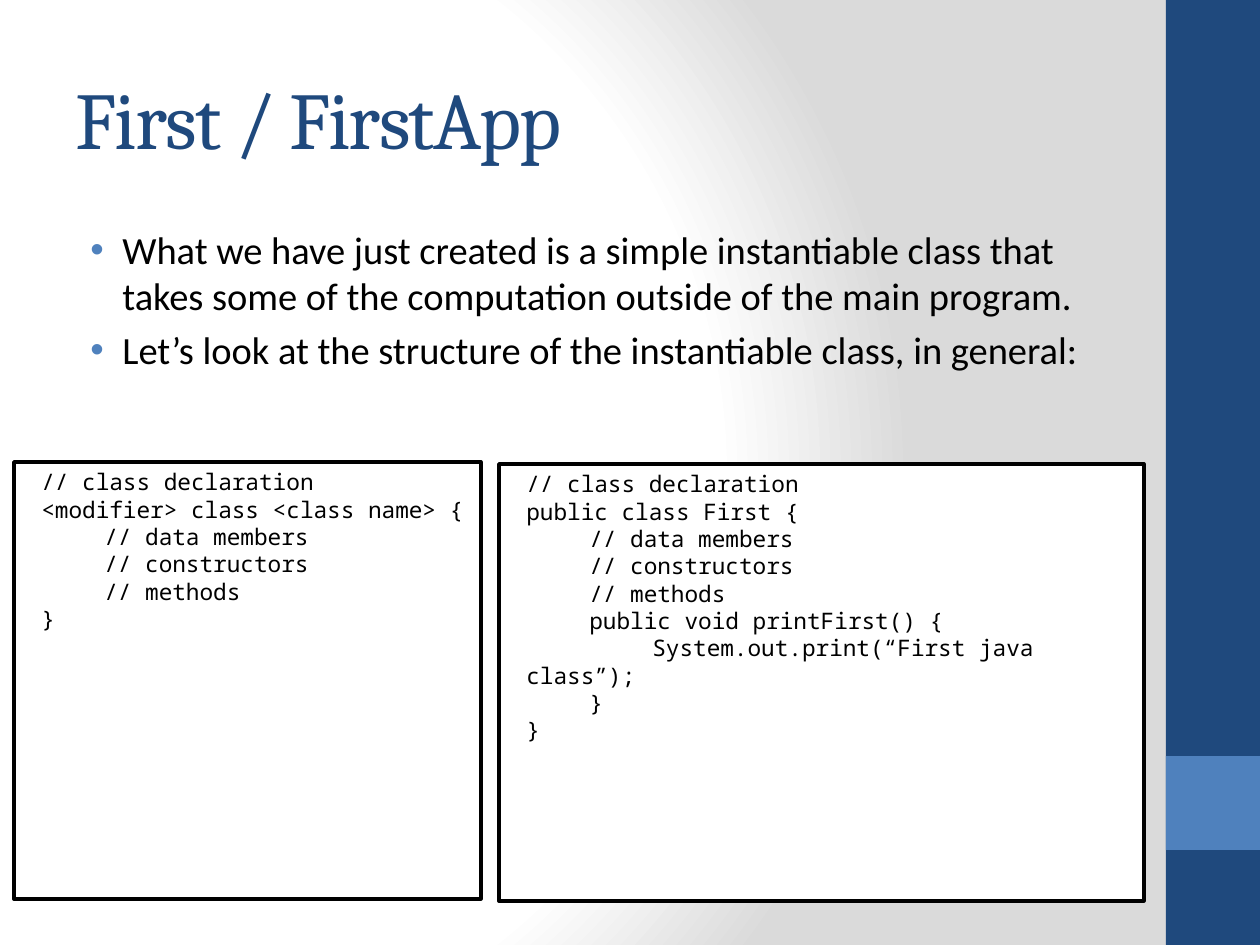
from lxml.etree import SubElement
from pptx import Presentation
from pptx.dml.color import RGBColor
from pptx.enum.shapes import MSO_SHAPE
from pptx.enum.text import MSO_ANCHOR, MSO_AUTO_SIZE, PP_ALIGN
from pptx.oxml import parse_xml
from pptx.oxml.ns import nsdecls, qn
from pptx.util import Emu, Pt

PX_PER_INCH = 126
COLORS = {"navy": "1F497D", "blue": "4F81BD", "white": "FFFFFF",
          "gray": "DADADA", "black": "000000"}

BULLETS = [
    "What we have just created is a simple instantiable class that takes "
    "some of the computation outside of the main program.",
    "Let’s look at the structure of the instantiable class, in general:",
]
GENERAL_CLASS = [
    "// class declaration",
    "<modifier> class <class name> {\v\t// data members",
    "\t// constructors",
    "\t// methods",
    "}",
]
FIRST_CLASS = [
    "// class declaration",
    "public class First {\v\t// data members",
    "\t// constructors",
    "\t// methods",
    "\tpublic void printFirst() {\v\t\tSystem.out.print(“First java class”);",
    "\t}",
    "}",
]


def px(length):
    return Emu(round(length * 914400 / PX_PER_INCH))


def rgb(name):
    return RGBColor.from_string(COLORS[name])


def set_font(para, name, size, color):
    para.font.name = name
    para.font.size = Pt(size)
    para.font.color.rgb = rgb(color)


def add_paragraphs(frame, lines):
    """Fill the frame with one paragraph per line and yield each of them."""
    for index, line in enumerate(lines):
        para = frame.add_paragraph() if index else frame.paragraphs[0]
        para.text = line
        para.alignment = PP_ALIGN.LEFT
        yield para


def add_rectangle(page, box, fill):
    rectangle = page.shapes.add_shape(MSO_SHAPE.RECTANGLE, *map(px, box))
    rectangle.shadow.inherit = False
    rectangle.fill.solid()
    rectangle.fill.fore_color.rgb = rgb(fill)
    rectangle.line.fill.background()
    return rectangle


def set_background(page):
    """Lay a circular white to gray gradient behind the page."""
    page.background.fill.solid()
    properties = page.background._cSld.bg.bgPr
    stops = "".join(
        f'<a:gs pos="{share * 1000}"><a:srgbClr val="{COLORS[name]}"/></a:gs>'
        for share, name in [(0, "white"), (75, "white"), (100, "gray")])
    gradient = parse_xml(
        f'<a:gradFill {nsdecls("a")} rotWithShape="1"><a:gsLst>{stops}</a:gsLst>'
        '<a:path path="circle"><a:fillToRect l="20000" t="50000" r="100000" '
        'b="50000"/></a:path></a:gradFill>')
    properties.replace(properties.find(qn("a:solidFill")), gradient)


def add_side_bar(page, box):
    left, top, width, height = box
    add_rectangle(page, box, "navy")
    add_rectangle(page, (left, top + height * 4 // 5, width, width), "blue")


def place_title(page, box, text):
    title = page.shapes.title
    title.left, title.top, title.width, title.height = map(px, box)
    frame = title.text_frame
    frame.auto_size = MSO_AUTO_SIZE.NONE
    frame.vertical_anchor = MSO_ANCHOR.MIDDLE
    for para in add_paragraphs(frame, [text]):
        set_font(para, "Cambria", 46, "navy")
        para.runs[0].font._element.set("spc", "-100")


def add_bullets(page, box, lines):
    frame = page.shapes.add_textbox(*map(px, box)).text_frame
    frame.word_wrap = True
    for para in add_paragraphs(frame, lines):
        para.space_before = Pt(4.4)
        properties = para._p.get_or_add_pPr()
        properties.set("marL", str(px(47)))
        properties.set("indent", str(px(-32)))
        bullet_color = SubElement(properties, qn("a:buClr"))
        SubElement(bullet_color, qn("a:srgbClr"), val=COLORS["blue"])
        SubElement(properties, qn("a:buFont"), typeface="Arial")
        SubElement(properties, qn("a:buChar"), char="•")
        set_font(para, "Calibri", 22, "black")


def add_code_box(page, box, lines):
    panel = add_rectangle(page, box, "white")
    panel.line.color.rgb = rgb("black")
    panel.line.width = Pt(2)
    frame = panel.text_frame
    frame.word_wrap = True
    frame.vertical_anchor = MSO_ANCHOR.TOP
    for para in add_paragraphs(frame, lines):
        properties = para._p.get_or_add_pPr()
        properties.set("marL", str(px(15)))
        properties.set("indent", "0")
        properties.set("defTabSz", str(px(63)))
        set_font(para, "Noto Sans Mono", 13, "black")


def main():
    deck = Presentation()
    deck.slide_width, deck.slide_height = px(1260), px(945)
    page = deck.slides.add_slide(deck.slide_layouts.get_by_name("Title Only"))
    set_background(page)
    add_side_bar(page, (1166, 0, 94, 945))
    place_title(page, (63, 38, 1050, 158), "First / FirstApp")
    add_bullets(page, (63, 220, 1050, 200), BULLETS)
    add_code_box(page, (14, 462, 467, 437), GENERAL_CLASS)
    add_code_box(page, (499, 464, 645, 437), FIRST_CLASS)
    deck.save("out.pptx")


if __name__ == "__main__":
    main()
